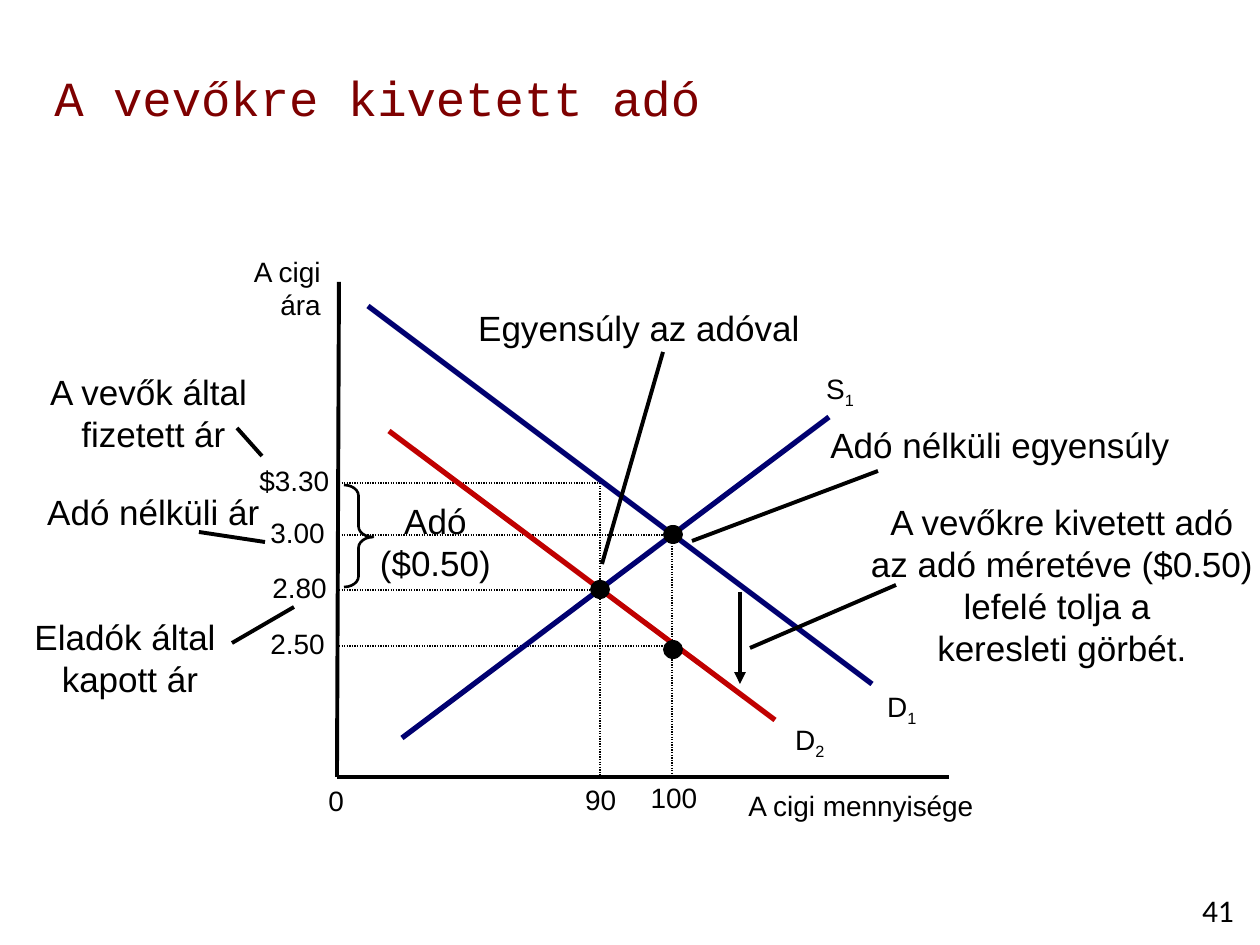
from lxml.etree import SubElement
from pptx import Presentation
from pptx.dml.color import RGBColor
from pptx.enum.dml import MSO_LINE
from pptx.enum.shapes import MSO_CONNECTOR, MSO_SHAPE
from pptx.enum.text import MSO_ANCHOR, PP_ALIGN
from pptx.oxml.ns import qn
from pptx.util import Emu, Pt

SCALE = 914400 / 126
BLACK, NAVY, RED, MAROON = "000000", "000070", "C00000", "7E0000"
LEFT, CENTER, RIGHT = PP_ALIGN.LEFT, PP_ALIGN.CENTER, PP_ALIGN.RIGHT


def px(length):
    return Emu(round(length * SCALE))


def color(value):
    return RGBColor.from_string(value)


def add_text(slide, text, box, *, size=16, font="Arial", fill=BLACK, align=CENTER,
             wrap=True, subscript="", anchor=MSO_ANCHOR.TOP, bottom=6):
    """Put each line of text in its own paragraph; subscript ends the last one."""
    shape = slide.shapes.add_textbox(*map(px, box))
    frame = shape.text_frame
    frame.word_wrap = wrap
    frame.vertical_anchor = anchor
    frame.margin_bottom = px(bottom)
    frame.text = text
    if subscript:
        run = frame.paragraphs[-1].add_run()
        run.text = subscript
        run._r.get_or_add_rPr().set("baseline", "-25000")
    for paragraph in frame.paragraphs:
        paragraph.alignment = align
        for run in paragraph.runs:
            run.font.size = Pt(size)
            run.font.name = font
            run.font.color.rgb = color(fill)


def add_line(slide, start, end, *, width=2.25, stroke=BLACK, dotted=False, arrow=False):
    connector = slide.shapes.add_connector(
        MSO_CONNECTOR.STRAIGHT, *map(px, (*start, *end)))
    connector.line.width = Pt(width)
    connector.line.color.rgb = color(stroke)
    if dotted:
        connector.line.dash_style = MSO_LINE.ROUND_DOT
    properties = connector._element.spPr
    if arrow:
        SubElement(properties.find(qn("a:ln")), qn("a:tailEnd"), type="triangle")
    SubElement(properties, qn("a:effectLst"))


def add_curve(slide, name, number, start, end, label_box, stroke):
    add_line(slide, start, end, width=3, stroke=stroke)
    add_text(slide, name, label_box, wrap=False, subscript=number)


def add_price(slide, label, y, end_x, label_left, label_width):
    add_line(slide, (339, y), (end_x, y), width=0.75, dotted=True)
    add_text(slide, label, (label_left, y - 26, label_width, 47), align=LEFT, wrap=False)


def add_quantity(slide, label, x, top, label_box):
    add_line(slide, (x, top), (x, 776), width=0.75, dotted=True)
    add_text(slide, label, label_box, wrap=False)


def add_point(slide, x, y):
    shape = slide.shapes.add_shape(
        MSO_SHAPE.OVAL, px(x - 10), px(y - 10), px(20), px(19))
    shape.shadow.inherit = False
    shape.fill.solid()
    shape.fill.fore_color.rgb = color(BLACK)
    shape.line.fill.background()


def add_tax_brace(slide):
    brace = slide.shapes.add_shape(MSO_SHAPE.LEFT_BRACE, *map(px, (344, 485, 29, 102)))
    brace.rotation = 180
    brace.adjustments[0] = 0.37
    brace.adjustments[1] = 0.49
    brace.shadow.inherit = False
    brace.fill.background()
    brace.line.color.rgb = color(BLACK)
    brace.line.width = Pt(1.5)


def add_axes(slide):
    add_line(slide, (339, 282), (337, 777))
    add_line(slide, (337, 777), (949, 777))
    add_text(slide, "A cigi\nára", (139, 248, 194, 81), align=RIGHT)
    add_text(slide, "A cigi mennyisége", (736, 782, 415, 47), align=LEFT)
    add_text(slide, "0", (316, 777, 42, 47), align=LEFT, wrap=False)


def main():
    presentation = Presentation()
    presentation.slide_width, presentation.slide_height = px(1260), px(945)
    slide = presentation.slides.add_slide(presentation.slide_layouts[6])

    add_text(slide, "A vevőkre kivetett adó", (42, 53, 1218, 73), size=28,
             font="Courier New", fill=MAROON, align=LEFT,
             anchor=MSO_ANCHOR.BOTTOM, bottom=0)
    add_text(slide, "41", (1176, 885, 84, 50), size=18, font="Calibri")
    add_axes(slide)

    for price in [
        ("$3.30", 483, 602, 247, 96),
        ("3.00", 535, 670, 258, 81),
        ("2.80", 590, 600, 260, 81),
        ("2.50", 646, 672, 258, 81),
    ]:
        add_price(slide, *price)
    add_quantity(slide, "90", 600, 483, (572, 776, 57, 47))
    add_quantity(slide, "100", 672, 538, (638, 774, 72, 47))

    for curve in [
        (" D", "1", (368, 306), (872, 684), (866, 683, 64, 47), NAVY),
        ("S", "1", (402, 738), (829, 417), (813, 365, 54, 47), NAVY),
        (" D", "2", (389, 431), (775, 720), (774, 716, 64, 47), RED),
    ]:
        add_curve(slide, *curve)
    for point in [(673, 535), (600, 590), (673, 650)]:
        add_point(slide, *point)

    add_tax_brace(slide)
    add_line(slide, (740, 592), (740, 684), arrow=True)

    for text, box in [
        ("A vevők által \nfizetett ár", (37, 364, 233, 97)),
        ("Adó nélküli ár", (34, 484, 239, 55)),
        ("Eladók által \nkapott ár", (21, 609, 218, 97)),
        ("Adó\n($0.50)", (367, 493, 137, 97)),
        ("Egyensúly az adóval", (464, 300, 350, 55)),
        ("Adó nélküli egyensúly", (816, 417, 368, 55)),
        ("A vevőkre kivetett adó\naz adó méretéve ($0.50)\nlefelé tolja a \n"
         "keresleti görbét.", (857, 494, 410, 183)),
    ]:
        add_text(slide, text, box, size=20)
    for start, end in [
        ((237, 428), (262, 456)),
        ((199, 532), (265, 542)),
        ((232, 643), (294, 607)),
        ((602, 564), (663, 352)),
        ((692, 541), (878, 471)),
        ((750, 648), (896, 585)),
    ]:
        add_line(slide, start, end)

    presentation.save("out.pptx")


if __name__ == "__main__":
    main()
